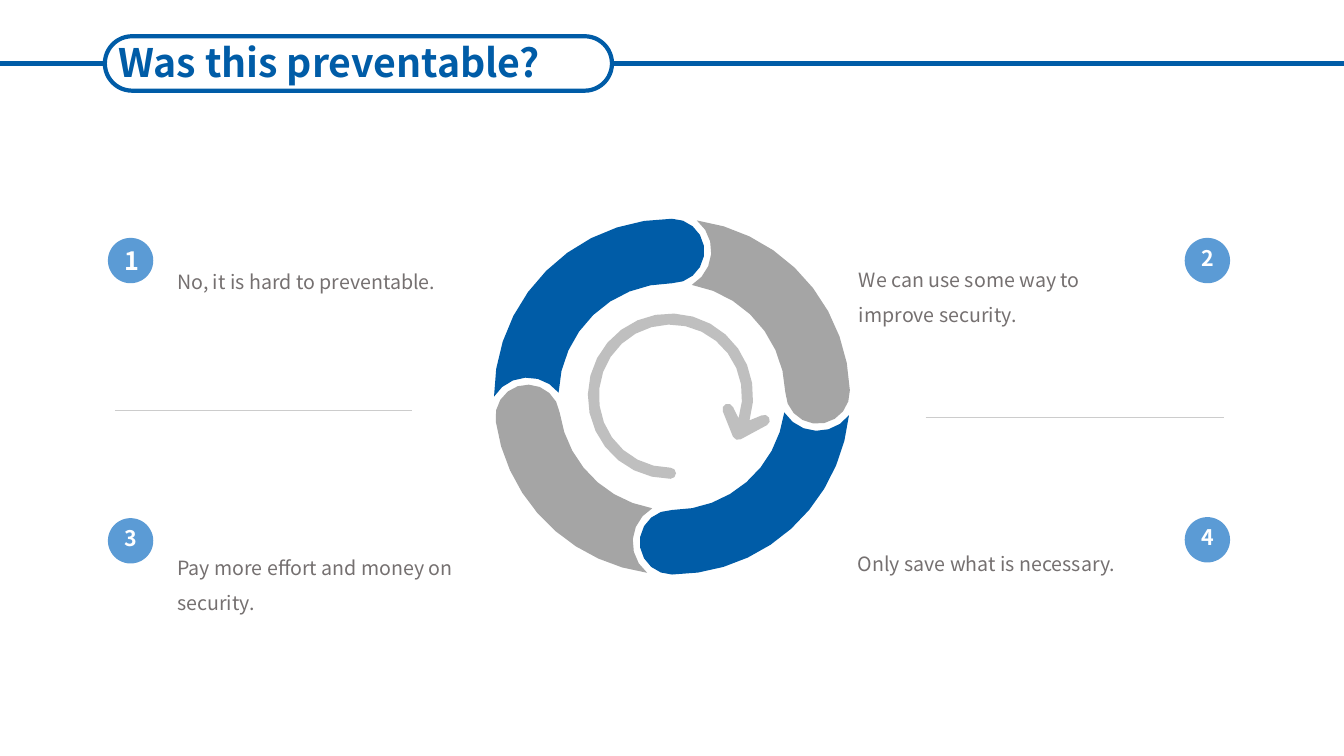
import math

from pptx import Presentation
from pptx import util as u
from pptx.dml.color import RGBColor
from pptx.enum import shapes, text
from pptx.oxml import parse_xml
from pptx.oxml.ns import nsdecls

COLORS = {
    "blue": "005CA7",
    "badge": "5B9BD5",
    "gray": "A5A5A5",
    "arrow": "BFBFBF",
    "rule": "CCCCCC",
    "body": "757070",
    "white": "FFFFFF",
}
FONT = "Noto Sans CJK SC"


def color(name):
    return RGBColor.from_string(COLORS[name])


def inches(*values):
    return [u.Inches(value) for value in values]


def write(shape, words, size, ink, bold=False, align=None, spacing=None, anchor="TOP"):
    frame = shape.text_frame
    frame.word_wrap = True
    frame.auto_size = text.MSO_AUTO_SIZE.NONE
    frame.vertical_anchor = text.MSO_ANCHOR[anchor]
    paragraph = frame.paragraphs[0]
    paragraph.text = words
    paragraph.alignment = align
    paragraph.line_spacing = spacing
    formats = {"name": FONT, "size": u.Pt(size), "bold": bold}
    for name, value in formats.items():
        setattr(paragraph.font, name, value)
    paragraph.font.color.rgb = color(ink)


def paint(shape, ink):
    shape.shadow.inherit = False
    shape.fill.solid()
    shape.fill.fore_color.rgb = color(ink)
    shape.line.fill.background()


def add_line(slide, left, right, top, ink, width):
    line = slide.shapes.add_connector(
        shapes.MSO_CONNECTOR.STRAIGHT, *inches(left, top, right, top))
    line.line.color.rgb = color(ink)
    line.line.width = u.Pt(width)
    line._element.spPr.append(parse_xml(f"<a:effectLst {nsdecls('a')}/>"))
    return line


def polar(center, radius, angle):
    x, y = center
    turn = math.radians(angle)
    return x + radius * math.cos(turn), y + radius * math.sin(turn)


def arc(center, radius, start, end):
    steps = math.ceil(abs(end - start) * math.sqrt(radius) / 12)
    return [polar(center, radius, start + (end - start) * i / steps)
            for i in range(steps + 1)]


def add_outline(slide, points, ink):
    corners = [inches(*point) for point in points]
    builder = slide.shapes.build_freeform(*corners[0])
    builder.add_line_segments(corners[1:], close=True)
    paint(builder.convert_to_shape(), ink)


def add_title(slide, left, top, width, height):
    pill = slide.shapes.add_shape(
        shapes.MSO_SHAPE.ROUNDED_RECTANGLE, *inches(left, top, width, height))
    pill.adjustments[0] = 0.5
    pill.shadow.inherit = False
    pill.fill.background()
    pill.line.color.rgb = color("blue")
    pill.line.width = u.Pt(3)
    middle = top + height / 2
    add_line(slide, 0, left, middle, "blue", 3).end_connect(pill, 1)
    add_line(slide, left + width, 13.33, middle, "blue", 3).begin_connect(pill, 3)

    title = slide.shapes.title
    box = inches(left - 0.31, top - 0.03, width + 0.04, height + 0.03)
    for name, value in zip(("left", "top", "width", "height"), box):
        setattr(title, name, value)
    write(title, "Was this preventable?", 28, "blue", True, text.PP_ALIGN.CENTER)


def add_point(slide, number, words, badge, note, size=15.3, spacing=0.8):
    circle = slide.shapes.add_shape(shapes.MSO_SHAPE.OVAL, *inches(*badge, 0.45, 0.45))
    paint(circle, "badge")
    write(circle, number, size, "white", True, text.PP_ALIGN.CENTER, spacing, "MIDDLE")
    box = slide.shapes.add_textbox(*inches(*note, 3.13, 0.7))
    write(box, words, 14, "body", spacing=1.5)


def add_ring(slide, left, top, size):
    center = (left + size / 2, top + size / 2)
    cap, notch = 0.32, 0.39
    outer = size / 2
    middle, inner = outer - cap, outer - 2 * cap

    def notch_offset(radius):
        cosine = (middle**2 + radius**2 - notch**2) / (2 * middle * radius)
        return math.degrees(math.acos(cosine))

    def notch_angle(radius, tail):
        x, y = polar(center, radius, tail + notch_offset(radius))
        hub_x, hub_y = polar(center, middle, tail)
        angle = math.degrees(math.atan2(y - hub_y, x - hub_x))
        return tail + (angle - tail) % 360

    heads = [172, 270, 358, 450, 532]
    for index, (tail, head) in enumerate(zip(heads, heads[1:])):
        points = arc(center, outer, tail + notch_offset(outer), head)
        points += arc(polar(center, middle, head), cap, head, head + 180)
        points += arc(center, inner, head, tail + notch_offset(inner))
        points += arc(polar(center, middle, tail), notch,
                      notch_angle(inner, tail), notch_angle(outer, tail))
        add_outline(slide, points, ("blue", "gray")[index % 2])


def add_turn_arrow(slide, left, top, size):
    outer, stroke = size / 2, 0.11
    center = x, y = left + outer, top + outer
    tip = stroke / 2
    points = arc(center, outer - stroke, 90, 378)
    points += arc((x + 0.57, y + 0.13), tip, -22, -202)
    points += arc((x + 0.67, y + 0.38), tip, 158, 60)
    points += arc((x + 0.93, y + 0.24), tip, 60, -120)
    points += arc(center, outer, 377, 90)
    points += arc((x, y + outer - tip), tip, 90, -90)
    add_outline(slide, points, "arrow")


def main():
    presentation = Presentation()
    presentation.slide_width, presentation.slide_height = inches(13.33, 7.5)
    slide = presentation.slides.add_slide(presentation.slide_layouts[5])

    add_line(slide, 9.18, 12.14, 4.14, "rule", 0.75)
    add_line(slide, 1.14, 4.09, 4.07, "rule", 0.75)
    add_point(slide, "1", "No, it is hard to preventable.",
              (1.07, 2.36), (1.66, 2.51), 18, None)
    add_point(slide, "3", "Pay more effort and money on security.",
              (1.07, 5.14), (1.66, 5.35))
    add_point(slide, "2", "We can use some way to improve security.",
              (11.75, 2.36), (8.42, 2.49))
    add_point(slide, "4", "Only save what is necessary.",
              (11.75, 5.13), (8.41, 5.31))
    add_turn_arrow(slide, 5.83, 3.11, 1.64)
    add_ring(slide, 4.9, 2.17, 3.53)
    add_title(slide, 1.04, 0.36, 5.03, 0.54)

    presentation.save("out.pptx")


if __name__ == "__main__":
    main()
